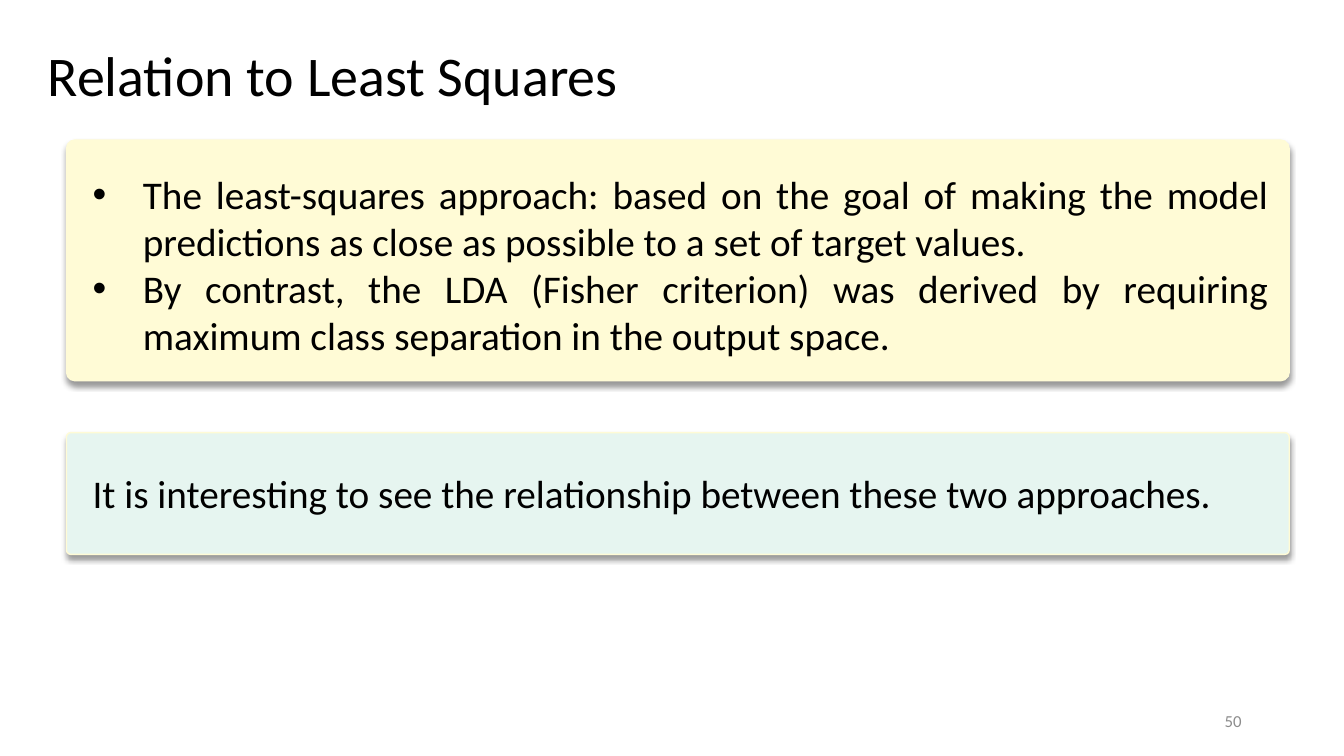
"""Builds the slide on how LDA relates to least squares."""
import pptx
import pptx.util
import pptx.dml.color
import pptx.enum.shapes
import pptx.enum.text
import pptx.oxml
import pptx.oxml.ns
from lxml import etree

Pt = pptx.util.Pt
ALIGN = pptx.enum.text.PP_ALIGN
ANCHOR = pptx.enum.text.MSO_ANCHOR

THEME = {
    "font": "Calibri", "ink": "000000", "gray": "8C8C8C",
    "cream": "FFFBD6", "mint": "E6F5F0",
    "title": 40, "body": 28, "number": 12,
}

TITLE = "Relation to Least Squares"
NUMBER = "50"
CARDS = [
    {"top": 100, "height": 172, "fill": "cream", "inset": 18, "width": 854, "bullet": True,
     "lines": [
         "The least-squares approach: based on the goal of making the model "
         "predictions as close as possible to a set of target values.",
         "By contrast, the LDA (Fisher criterion) was derived by requiring "
         "maximum class separation in the output space."]},
    {"top": 309, "height": 87, "fill": "mint", "inset": 23, "width": 912, "bullet": False,
     "lines": ["It is interesting to see the relationship between these two approaches."]},
]
LEFT, WIDTH, PAD, INDENT = 47.5, 873.4, 11.5, 36


def color(name):
    return pptx.dml.color.RGBColor.from_string(THEME[name])


def add_text(slide, box, lines, size, ink="ink", align=ALIGN.LEFT, wrap=True,
             anchor=ANCHOR.TOP, bullet=False):
    frame = slide.shapes.add_textbox(*map(Pt, box)).text_frame
    frame.word_wrap = wrap
    frame.vertical_anchor = anchor
    frame.text = "\n".join(lines)
    for para in frame.paragraphs:
        para.alignment = align
        para.font.name = THEME["font"]
        para.font.size = Pt(THEME[size])
        para.font.color.rgb = color(ink)
        if bullet:
            add_bullet(para)


def add_bullet(para):
    props = para._p.get_or_add_pPr()
    props.set("marL", str(Pt(INDENT)))
    props.set("indent", str(-Pt(INDENT)))
    mark = pptx.oxml.parse_xml(
        f'<a:buChar {pptx.oxml.ns.nsdecls("a")} char="•"/>')
    face = pptx.oxml.parse_xml(
        f'<a:buFont {pptx.oxml.ns.nsdecls("a")} typeface="Arial"/>')
    props.insert(0, mark)
    props.insert(0, face)


def add_shadow(shape):
    shape.shadow.inherit = False
    tag = pptx.oxml.ns.qn
    effects = shape._element.spPr.find(tag("a:effectLst"))
    shade = etree.SubElement(effects, tag("a:outerShdw"), blurRad=str(Pt(4)),
                             dist=str(Pt(3)), dir="5400000", rotWithShape="0")
    black = etree.SubElement(shade, tag("a:srgbClr"), val=THEME["ink"])
    etree.SubElement(black, tag("a:alpha"), val="40000")


def add_card(slide, card):
    box = (LEFT, card["top"], WIDTH, card["height"])
    shape = slide.shapes.add_shape(
        pptx.enum.shapes.MSO_SHAPE.ROUNDED_RECTANGLE, *map(Pt, box))
    shape.adjustments[0] = 0.036
    shape.fill.solid()
    shape.fill.fore_color.rgb = color(card["fill"])
    shape.line.color.rgb = color("cream")
    shape.line.width = Pt(1)
    add_shadow(shape)
    inset = card["inset"]
    area = (LEFT + PAD, card["top"] + inset, card["width"], card["height"] - 2 * inset)
    add_text(slide, area, card["lines"], "body", align=ALIGN.JUSTIFY,
             bullet=card["bullet"])


def main():
    deck = pptx.Presentation()
    deck.slide_width, deck.slide_height = Pt(960), Pt(540)
    slide = deck.slides.add_slide(deck.slide_layouts[6])
    add_text(slide, (678, 500.5, 216, 28.75), [NUMBER], "number", ink="gray",
             align=ALIGN.RIGHT, anchor=ANCHOR.MIDDLE)
    add_text(slide, (27, 25.5, 423, 55.5), [TITLE], "title", wrap=False)
    for card in CARDS:
        add_card(slide, card)
    deck.save("out.pptx")


if __name__ == "__main__":
    main()
